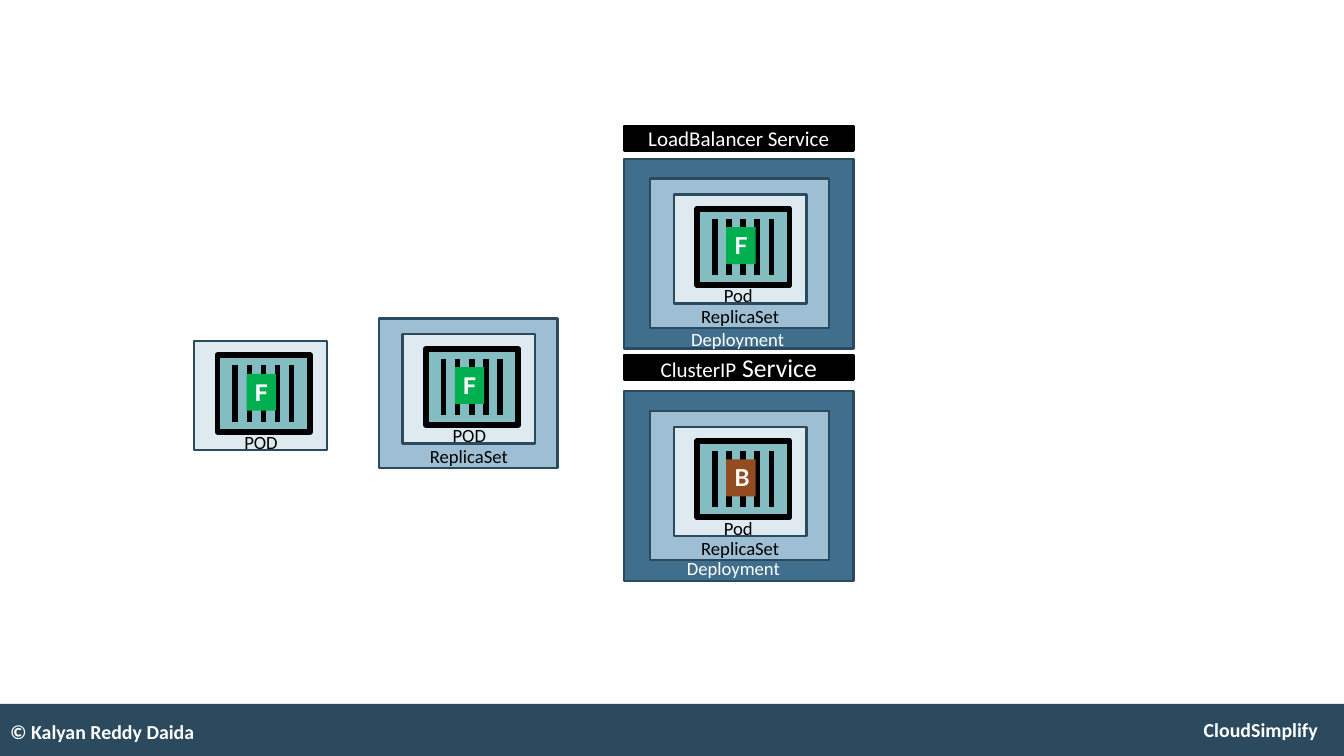
from pptx import Presentation, util as u
from pptx.dml.color import RGBColor
from pptx.enum import shapes as s, text as t
from pptx.oxml import parse_xml
from pptx.oxml.ns import nsdecls

INK = {
    "navy": "2B4A5E", "deploy": "406F8D", "set": "9DBED3", "pod": "DEE9F0",
    "crate": "83BCC1", "front": "00B050", "back": "934C22",
    "black": "000000", "white": "FFFFFF",
}
COLS, ROWS = 1600, 900

deck = Presentation()
deck.slide_width, deck.slide_height = u.Inches(16), u.Inches(9)
slide = deck.slides.add_slide(deck.slide_layouts[6])
page = slide.shapes


def ink(name):
    return RGBColor.from_string(INK[name])


def grid(x, y):
    return int(deck.slide_width * x / COLS), int(deck.slide_height * y / ROWS)


def rect(host, x, y, w, h, fill, line=None, width=2):
    box = host.add_shape(s.MSO_SHAPE.RECTANGLE, *grid(x, y), *grid(w, h))
    box.shadow.inherit = False
    box.fill.solid()
    box.fill.fore_color.rgb = ink(fill)
    if line:
        box.line.color.rgb = ink(line)
        box.line.width = u.Pt(width)
    else:
        box.line.fill.background()
    return box


def write(box, runs, color, font="Calibri", bold=False, align="LEFT", anchor="MIDDLE"):
    frame = box.text_frame
    frame.word_wrap = True
    frame.vertical_anchor = t.MSO_ANCHOR[anchor]
    para = frame.paragraphs[0]
    para.alignment = t.PP_ALIGN[align]
    for words, size in runs:
        run = para.add_run()
        run.text = words
        run.font.name = font
        run.font.size = u.Pt(size)
        run.font.bold = bold
        run.font.color.rgb = ink(color)
    return frame


def label(x, y, w, words, color="black"):
    box = page.add_textbox(*grid(x, y), *grid(w, 37))
    frame = write(box, [(words, 16)], color, anchor="TOP")
    frame.word_wrap = False
    frame.auto_size = t.MSO_AUTO_SIZE.SHAPE_TO_FIT_TEXT


def crate(x, y, mark, fill, font):
    host = page.add_group_shape().shapes
    rect(host, x, y, 110, 91, "crate", "black", 5)
    for i in range(5):
        col = x + 21 + 16.8 * i
        bar = host.add_connector(s.MSO_CONNECTOR.STRAIGHT,
                                 *grid(col, y + 12), *grid(col, y + 79))
        bar.line.color.rgb = ink("black")
        bar.line.width = u.Pt(4.75)
        bar._element.spPr.append(parse_xml("<a:effectLst %s/>" % nsdecls("a")))
    badge = rect(host, x + 34.5, y + 22, 35, 44, fill)
    write(badge, [(mark, 20)], "white", font, True, anchor="TOP")


def pod(x, y, name, wide, mark="F", fill="front", font="Roboto"):
    rect(page, x, y, 158, 130, "pod", "navy")
    label(x + 50, y + 102, wide, name)
    crate(x + 28, y + 17, mark, fill, font)


def replica(x, y, *inner):
    rect(page, x, y, 213, 178, "set", "navy")
    pod(x + 28, y + 19, *inner)
    label(x + 51, y + 145.5, 114, "ReplicaSet")


def deploy(x, y, mark, fill, dx, dy):
    rect(page, x, y, 273, 226, "deploy", "navy")
    replica(x + 31, y + 23.5, "Pod", 55, mark, fill, "Lato")
    label(x + dx, y + dy, 132, "Deployment", "white")


def service(x, y, runs):
    bar = rect(page, x, y, 273, 29, "black", "black")
    write(bar, runs, "white", align="CENTER")


def footer(x, y, w, h):
    rect(page, x, y, w, h, "navy")
    for left, top, wide, words, align in (
        (1406, 6, 190, "CloudSimplify", "CENTER"),
        (0, 9, 540, "© Kalyan Reddy Daida", "LEFT"),
    ):
        box = page.add_textbox(*grid(left, y + top), *grid(wide, 48))
        frame = write(box, [(words, 17)], "white", bold=True, align=align)
        frame.margin_left = frame.margin_right = u.Inches(0.12)
        frame.margin_top = frame.margin_bottom = u.Inches(0.06)


def main():
    footer(-2, 838, 1602, 62)
    pod(231, 406, "POD", 61)
    replica(451, 379, "POD", 61)
    deploy(743, 189, "F", "front", 70, 196)
    deploy(743, 465.5, "B", "back", 65, 193)
    service(743, 423, [("ClusterIP", 18), (" Service", 22)])
    service(743, 150, [("LoadBalancer Service", 18)])
    deck.save("out.pptx")


if __name__ == "__main__":
    main()
